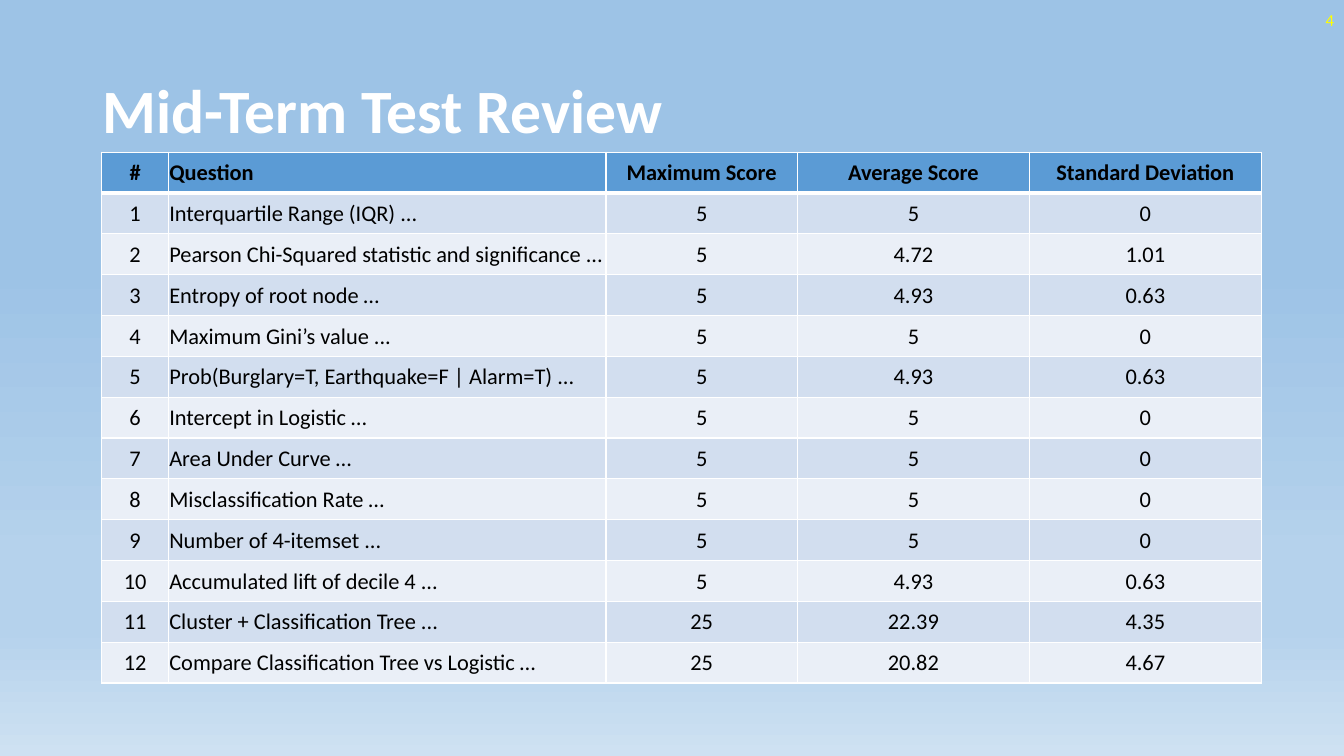
from lxml.etree import SubElement
from pptx import Presentation
from pptx.dml.color import RGBColor
from pptx.enum.text import MSO_ANCHOR, PP_ALIGN
from pptx.oxml.ns import qn
from pptx.util import Inches, Pt

WHITE = RGBColor(0xFF, 0xFF, 0xFF)
BLACK = RGBColor(0x00, 0x00, 0x00)
YELLOW = RGBColor(0xFF, 0xFF, 0x00)
HEADER = RGBColor(0x5B, 0x9B, 0xD5)
BAND_DARK = RGBColor(0xD2, 0xDE, 0xEF)
BAND_LIGHT = RGBColor(0xEA, 0xEF, 0xF7)
SKY = RGBColor(0x9D, 0xC3, 0xE6)
SKY_PALE = RGBColor(0xB5, 0xD2, 0xEC)
SKY_PALEST = RGBColor(0xCE, 0xE1, 0xF2)

BACKGROUND_STOPS = [(35, SKY), (74, SKY_PALE), (83, SKY_PALE), (100, SKY_PALEST)]
COLUMN_WIDTHS = [0.66, 4.34, 1.9, 2.3, 2.3]
ROWS = [
    ("#", "Question", "Maximum Score", "Average Score", "Standard Deviation"),
    ("1", "Interquartile Range (IQR) ...", "5", "5", "0"),
    ("2", "Pearson Chi-Squared statistic and significance ...", "5", "4.72", "1.01"),
    ("3", "Entropy of root node …", "5", "4.93", "0.63"),
    ("4", "Maximum Gini’s value ...", "5", "5", "0"),
    ("5", "Prob(Burglary=T, Earthquake=F | Alarm=T) ...", "5", "4.93", "0.63"),
    ("6", "Intercept in Logistic …", "5", "5", "0"),
    ("7", "Area Under Curve …", "5", "5", "0"),
    ("8", "Misclassification Rate …", "5", "5", "0"),
    ("9", "Number of 4-itemset ...", "5", "5", "0"),
    ("10", "Accumulated lift of decile 4 ...", "5", "4.93", "0.63"),
    ("11", "Cluster + Classification Tree ...", "25", "22.39", "4.35"),
    ("12", "Compare Classification Tree vs Logistic …", "25", "20.82", "4.67"),
]


def write(tf, text, size, color, bold=False, align=PP_ALIGN.LEFT):
    """Fill a text frame with one formatted paragraph and return it."""
    tf.text = text
    p = tf.paragraphs[0]
    p.alignment = align
    font = p.runs[0].font
    font.name, font.size, font.bold = "Calibri", Pt(size), bold
    font.color.rgb = color
    return p


def set_borders(cell, widths):
    """Draw white left, right, top and bottom borders, widths in points."""
    tc_pr = cell._tc.get_or_add_tcPr()
    for i, (side, width) in enumerate(zip("LRTB", widths)):
        ln = SubElement(tc_pr, qn(f"a:ln{side}"), w=str(Pt(width)))
        SubElement(SubElement(ln, qn("a:solidFill")), qn("a:srgbClr"), val=str(WHITE))
        tc_pr.insert(i, ln)  # borders come before the fill


prs = Presentation()
prs.slide_width, prs.slide_height = Inches(13.33), Inches(7.5)
s = prs.slides.add_slide(prs.slide_layouts[6])

# Background gradient, top to bottom
s.background.fill.gradient()
grad = s.background._cSld.find(".//" + qn("a:gradFill"))
stops = grad.find(qn("a:gsLst"))
for stop in list(stops):
    stops.remove(stop)
for position, color in BACKGROUND_STOPS:
    stop = SubElement(stops, qn("a:gs"), pos=str(position * 1000))
    SubElement(stop, qn("a:srgbClr"), val=str(color))
grad.find(qn("a:lin")).set("ang", str(90 * 60000))

# Title
title = s.shapes.add_textbox(Inches(0.92), Inches(0.4), Inches(11.5), Inches(1.45))
tf = title.text_frame
tf.word_wrap = True
tf.vertical_anchor = MSO_ANCHOR.MIDDLE
write(tf, "Mid-Term Test Review", 44, WHITE, bold=True).line_spacing = 0.9

# Score table
table = s.shapes.add_table(len(ROWS), len(COLUMN_WIDTHS), Inches(1.01), Inches(1.51),
                           Inches(11.5), Inches(5.27)).table
for column, width in zip(table.columns, COLUMN_WIDTHS):
    column.width = Inches(width)
for r, row in enumerate(ROWS):
    fill = HEADER if r == 0 else BAND_DARK if r % 2 else BAND_LIGHT
    for c, text in enumerate(row):
        cell = table.cell(r, c)
        cell.margin_left = cell.margin_right = cell.margin_top = Inches(0.01)
        cell.margin_bottom = 0
        cell.vertical_anchor = MSO_ANCHOR.MIDDLE
        cell.fill.solid()
        cell.fill.fore_color.rgb = fill
        write(cell.text_frame, text, 16, BLACK, bold=r == 0,
              align=PP_ALIGN.LEFT if c == 1 else PP_ALIGN.CENTER)
        set_borders(cell, (1, 1, 3 if r == 1 else 1, 3 if r == 0 else 1))

# Slide number
number = s.shapes.add_textbox(Inches(10.33), 0, Inches(3), Inches(0.4))
tf = number.text_frame
tf.word_wrap = True
tf.vertical_anchor = MSO_ANCHOR.MIDDLE
write(tf, "4", 12, YELLOW, align=PP_ALIGN.RIGHT)

prs.save("out.pptx")
